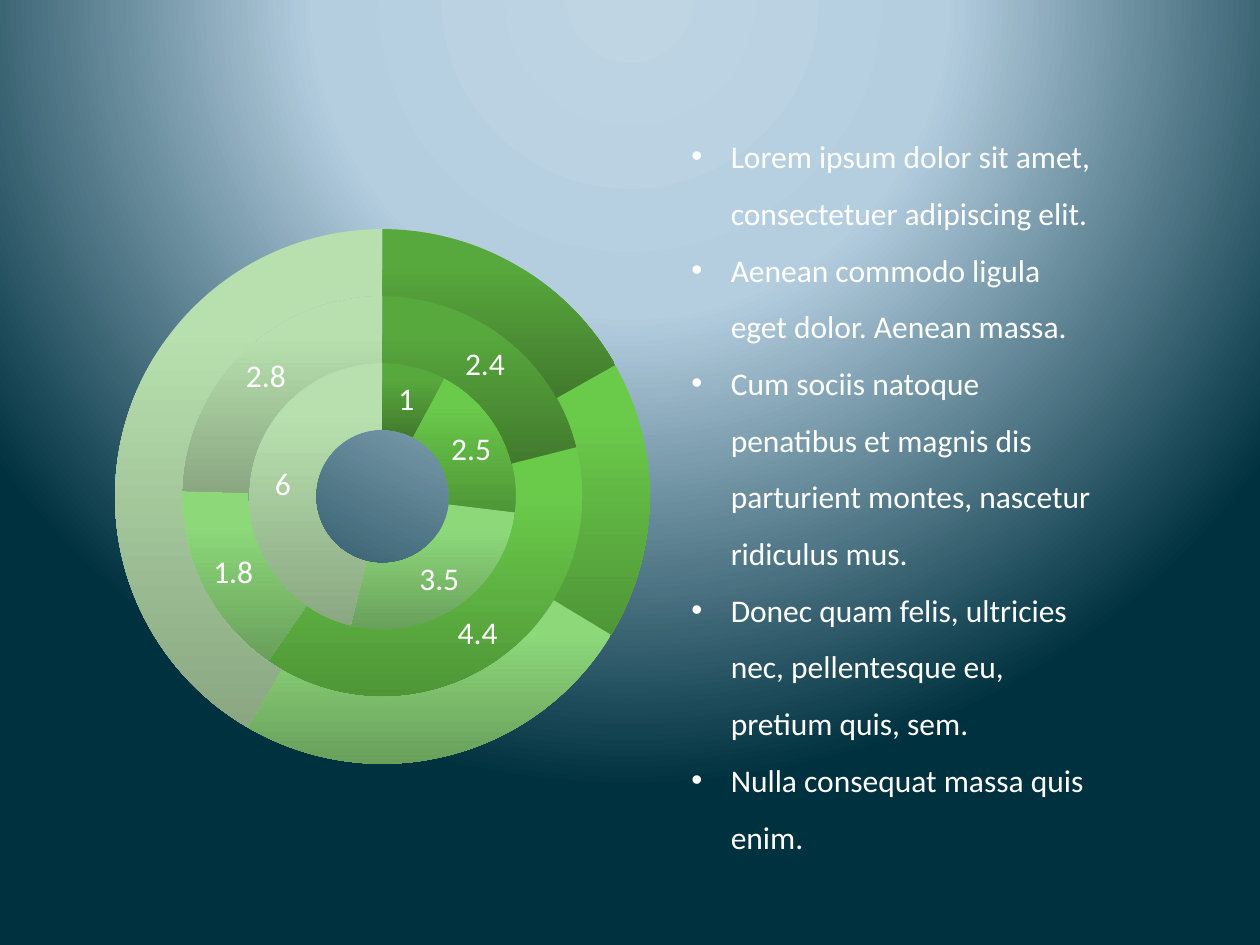
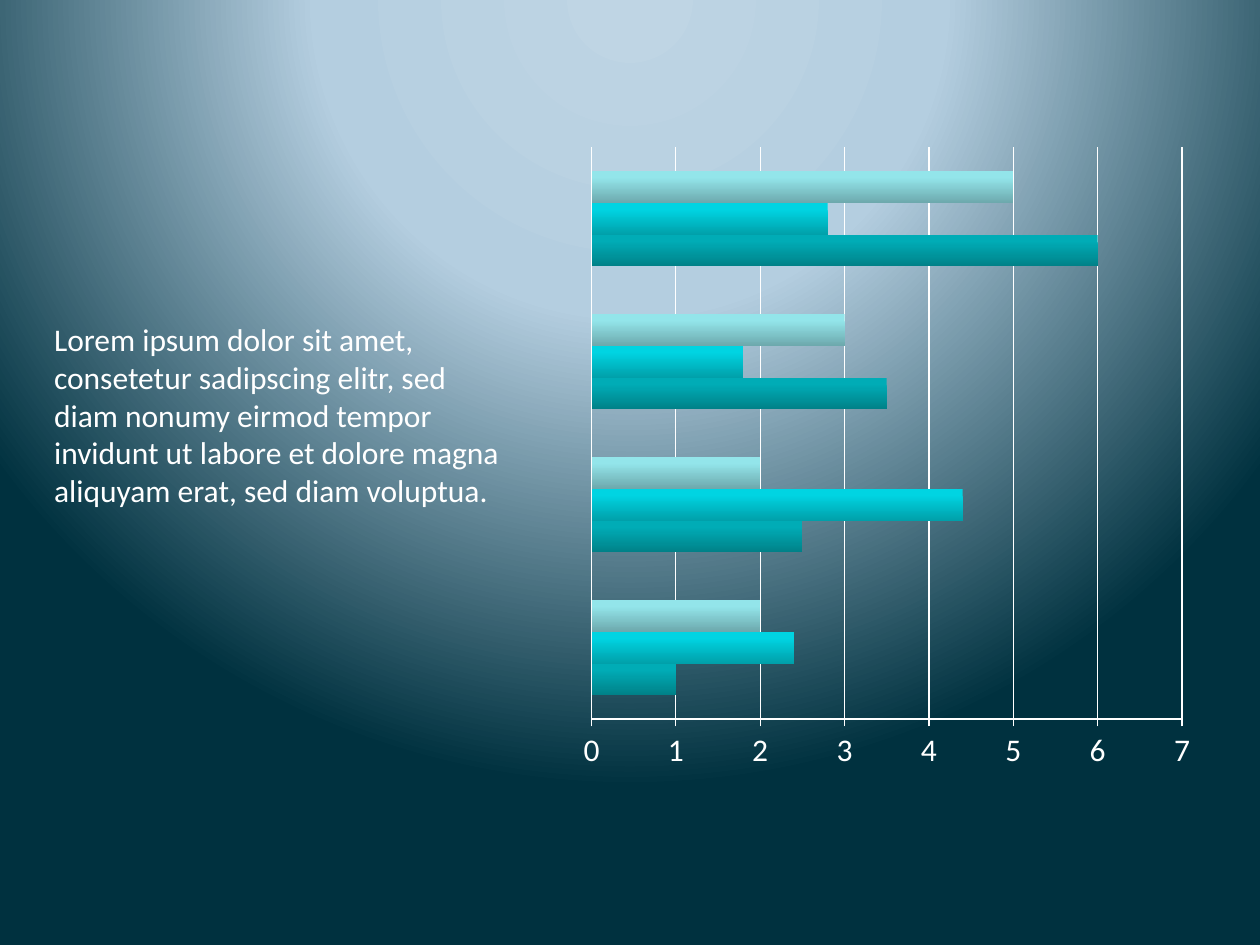
from lxml import etree
from pptx import Presentation
from pptx.chart.data import CategoryChartData
from pptx.dml.color import RGBColor
from pptx.enum.chart import XL_CHART_TYPE, XL_TICK_MARK
from pptx.oxml import parse_xml
from pptx.oxml.ns import nsdecls, qn
from pptx.util import Pt

DOUGHNUT = XL_CHART_TYPE.DOUGHNUT
BAR = XL_CHART_TYPE.BAR_CLUSTERED
TICK_OUT, TICK_NONE = XL_TICK_MARK.OUTSIDE, XL_TICK_MARK.NONE

FONT, SIZE = "Calibri", Pt(18)
COLORS = {
    "white": "FFFFFF",
    "glow": "BFD5E4", "halo": "B4CEE0", "deep": "00313F",
    "green1": "58A93D", "green1_dark": "427A2D",
    "green2": "6ACA4A", "green2_dark": "4F9637",
    "green3": "8DD97A", "green3_dark": "699F5B",
    "green4": "B8E0AE", "green4_dark": "8AA782",
    "teal1": "00ACB6", "teal1_dark": "008188",
    "teal2": "00D4E2", "teal2_dark": "00A0AA",
    "teal3": "93E5EA", "teal3_dark": "6DA9AD",
}
GREENS = ["green1", "green2", "green3", "green4"]
TEALS = ["teal1", "teal2", "teal3"]

CATEGORIES = ["1", "2", "3", "4"]
SERIES_1 = [1, 2.5, 3.5, 6]
SERIES_2 = [2.4, 4.4, 1.8, 2.8]
RING_3 = [17, 17, 25, 42]
BARS_3 = [2, 2, 3, 5]

BULLETS = [
    "Lorem ipsum dolor sit amet, consectetuer adipiscing elit.",
    "Aenean commodo ligula eget dolor. Aenean massa.",
    "Cum sociis natoque penatibus et magnis dis parturient montes, nascetur ridiculus mus.",
    "Donec quam felis, ultricies nec, pellentesque eu, pretium quis, sem.",
    "Nulla consequat massa quis enim.",
]
INTRO = ("Lorem ipsum dolor sit amet, consetetur sadipscing elitr, sed diam nonumy "
         "eirmod tempor invidunt ut labore et dolore magna aliquyam erat, sed diam voluptua.")


def rgb(name):
    return RGBColor.from_string(COLORS[name])


def set_background(master):
    """Give every slide a circular glow centred above its top edge."""
    master.background.fill.gradient()
    old = master.element.find(".//" + qn("a:gradFill"))
    stops = "".join(
        f'<a:gs pos="{pos}"><a:srgbClr val="{COLORS[name]}"/></a:gs>'
        for pos, name in [(0, "glow"), (40000, "halo"), (100000, "deep")])
    glow = parse_xml(
        f'<a:gradFill {nsdecls("a")} rotWithShape="1"><a:gsLst>{stops}</a:gsLst>'
        '<a:path path="circle"><a:fillToRect l="50000" t="-80000" r="50000" b="180000"/>'
        '</a:path></a:gradFill>')
    old.getparent().replace(old, glow)


def shade(fill, name):
    """Fade from a colour to its dark variant, top to bottom."""
    fill.gradient()
    fill.gradient_angle = 270
    light, dark = fill.gradient_stops
    light.color.rgb, light.position = rgb(name), 0.2
    dark.color.rgb, dark.position = rgb(name + "_dark"), 1


def style_font(font):
    font.name, font.size = FONT, SIZE
    font.color.rgb = rgb("white")


def add_bullet(p):
    pPr = p._p.get_or_add_pPr()
    pPr.set("marL", str(Pt(22.5)))
    pPr.set("indent", str(-Pt(22.5)))
    etree.SubElement(pPr, qn("a:buFont")).set("typeface", "Arial")
    etree.SubElement(pPr, qn("a:buChar")).set("char", "•")


def add_text(s, box, lines, bulleted=False):
    tf = s.shapes.add_textbox(*map(Pt, box)).text_frame
    tf.word_wrap = True
    tf.text = "\n".join(lines)
    for p in tf.paragraphs:
        style_font(p.runs[0].font)
        if bulleted:
            p.line_spacing = 1.5
            add_bullet(p)


def add_chart(s, kind, box, third_series):
    data = CategoryChartData()
    data.categories = CATEGORIES
    for i, values in enumerate([SERIES_1, SERIES_2, third_series], 1):
        data.add_series(f"Series {i}", values)
    chart = s.shapes.add_chart(kind, *map(Pt, box), data).chart
    chart.has_title = chart.has_legend = False
    style_font(chart.font)
    return chart


def add_rings(s, box):
    chart = add_chart(s, DOUGHNUT, box, RING_3)
    plot = chart.plots[0]
    plot._element.find(qn("c:holeSize")).set("val", "50")
    for ring in plot.series:
        for i, name in enumerate(GREENS):
            fmt = ring.points[i].format
            shade(fmt.fill, name)
            fmt.line.fill.background()
    for ring in list(plot.series)[:2]:
        labels = ring.data_labels
        labels.show_value = True
        style_font(labels.font)


def set_plot_area(chart, x, y, w, h):
    """Place the inner plot area, in fractions of the chart frame."""
    area = chart._chartSpace.chart.plotArea
    for old in area.findall(qn("c:layout")):
        area.remove(old)
    modes = '<c:layoutTarget val="inner"/><c:xMode val="edge"/><c:yMode val="edge"/>'
    sizes = "".join(f'<c:{k} val="{v}"/>' for k, v in zip("xywh", (x, y, w, h)))
    area.insert(0, parse_xml(
        f'<c:layout {nsdecls("c")}><c:manualLayout>{modes}{sizes}</c:manualLayout></c:layout>'))


def add_bars(s, box):
    chart = add_chart(s, BAR, box, BARS_3)
    set_plot_area(chart, 0.08, 0.02, 0.9, 0.9)
    plot = chart.plots[0]
    plot.gap_width, plot.overlap = 150, 0
    for bars, name in zip(plot.series, TEALS):
        shade(bars.format.fill, name)
        bars.format.line.fill.background()
    chart.category_axis.visible = False
    axis = chart.value_axis
    axis.minimum_scale, axis.maximum_scale, axis.major_unit = 0, 7, 1
    axis.major_tick_mark, axis.minor_tick_mark = TICK_OUT, TICK_NONE
    axis.has_major_gridlines = True
    for line in (axis.format.line, axis.major_gridlines.format.line):
        line.color.rgb = rgb("white")
        line.width = Pt(0.75)
    style_font(axis.tick_labels.font)


def main():
    prs = Presentation()
    prs.slide_width, prs.slide_height = Pt(720), Pt(540)
    set_background(prs.slide_master)
    blank = prs.slide_layouts[6]

    s = prs.slides.add_slide(blank)
    add_rings(s, (43.2, 121, 350.6, 325.4))
    add_text(s, (388, 64, 249, 454.3), BULLETS, bulleted=True)

    s = prs.slides.add_slide(blank)
    add_bars(s, (308, 77, 375, 363))
    add_text(s, (23.8, 179.3, 278, 116.6), [INTRO])

    prs.save("out.pptx")


if __name__ == "__main__":
    main()
